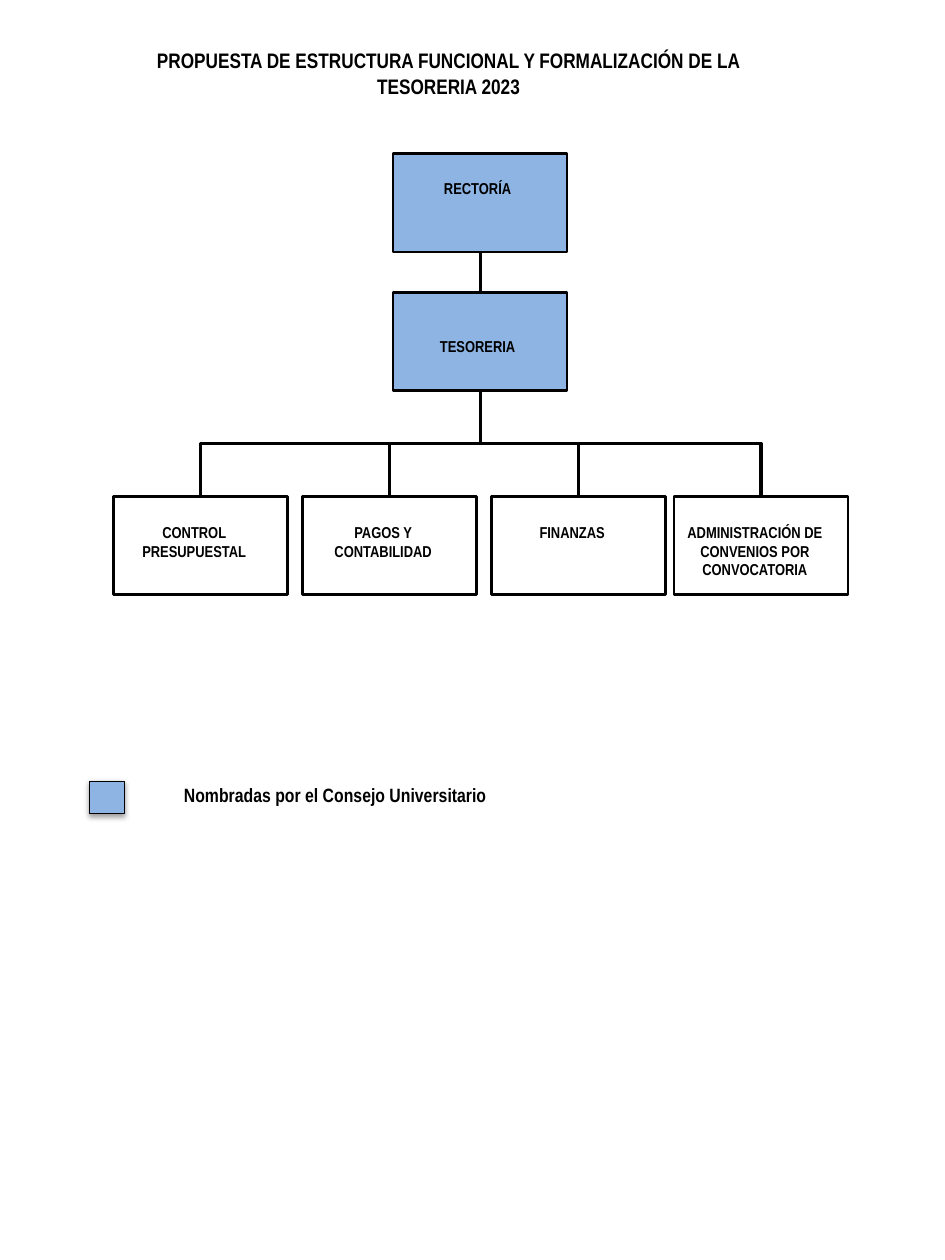
from dataclasses import dataclass

from lxml import etree
from pptx import Presentation
from pptx.dml.color import RGBColor
from pptx.enum.shapes import MSO_CONNECTOR as Connector, MSO_SHAPE as Shape
from pptx.enum.text import MSO_ANCHOR as Anchor, MSO_AUTO_SIZE as AutoSize, PP_ALIGN as Align
from pptx.oxml import parse_xml
from pptx.oxml.ns import nsdecls, qn
from pptx.util import Inches, Pt


@dataclass(frozen=True)
class Theme:
    """Colours, font, type sizes and line widths."""
    ink: RGBColor = RGBColor(0, 0, 0)
    appointed: RGBColor = RGBColor(0x8E, 0xB4, 0xE3)
    font: str = "Arial Narrow"
    title_size: float = 12
    legend_size: float = 11
    box_size: float = 9
    box_line: float = 1.5
    swatch_line: float = 0.75
    link_line: float = 1.75


THEME = Theme()
BOX_WIDTH, BOX_HEIGHT = 1.38, 0.78
LINE_HEIGHT = 0.155
HEAD_LEFT = 3.12
HEADS = [("RECTORÍA", 1.22, 1), ("TESORERIA", 2.32, 2)]
AREA_TOP = 3.94
AREAS = [
    ("CONTROL PRESUPUESTAL", 0.9),
    ("PAGOS Y\nCONTABILIDAD", 2.4),
    ("FINANZAS", 3.9),
    ("ADMINISTRACIÓN DE CONVENIOS POR CONVOCATORIA", 5.35),
]


def write_text(shape, text, size, align=Align.CENTER, insets=(0.1, 0.05, 0.1, 0.05)):
    """Fill a shape with bold text, one paragraph per line."""
    frame = shape.text_frame
    frame.word_wrap = True
    frame.auto_size = AutoSize.NONE
    frame.vertical_anchor = Anchor.TOP
    (frame.margin_left, frame.margin_top,
     frame.margin_right, frame.margin_bottom) = map(Inches, insets)
    frame.text = text
    for paragraph in frame.paragraphs:
        paragraph.alignment = align
        font = paragraph.runs[0].font
        font.name, font.size, font.bold = THEME.font, Pt(size), True
        font.color.rgb = THEME.ink


def add_box(slide, kind, box, fill=None, line=THEME.box_line):
    """Add an outlined box, filled when a colour is given."""
    shape = slide.shapes.add_shape(kind, *map(Inches, box))
    shape.shadow.inherit = False
    if fill is None:
        shape.fill.background()
    else:
        shape.fill.solid()
        shape.fill.fore_color.rgb = fill
    shape.line.color.rgb = THEME.ink
    shape.line.width = Pt(line)
    return shape


def add_link(slide, kind, start, end):
    """Add a connector without shadow."""
    link = slide.shapes.add_connector(kind, *map(Inches, (*start, *end)))
    link.line.color.rgb = THEME.ink
    link.line.width = Pt(THEME.link_line)
    etree.SubElement(link._element.spPr, qn("a:effectLst"))
    return link


def add_branch(slide, start, end):
    """Add an elbow that leaves downwards, by turning a sideways one."""
    (x1, y1), (x2, y2) = start, end
    middle_x, middle_y = (x1 + x2) / 2, (y1 + y2) / 2
    half_width, half_height = (y2 - y1) / 2, abs(x2 - x1) / 2
    side = 1 if x2 > x1 else -1
    link = add_link(slide, Connector.ELBOW,
                    (middle_x + side * half_width, middle_y - half_height),
                    (middle_x - side * half_width, middle_y + half_height))
    turn = 270 if side > 0 else 90
    link._element.spPr.find(qn("a:xfrm")).set("rot", str(turn * 60000))


def add_title(slide, box):
    """Place and format the title placeholder."""
    title = slide.shapes.title
    title.left, title.top, title.width, title.height = map(Inches, box)
    write_text(title, "PROPUESTA DE ESTRUCTURA FUNCIONAL Y FORMALIZACIÓN DE LA TESORERIA 2023",
               size=THEME.title_size)


def add_legend(slide, box):
    """Add the shadowed swatch and its meaning."""
    left, top, width, height = box
    swatch = add_box(slide, Shape.RECTANGLE, (left, top + 0.1, 0.28, 0.26),
                     fill=THEME.appointed, line=THEME.swatch_line)
    effects = swatch._element.spPr.find(qn("a:effectLst"))
    effects.append(parse_xml(
        f'<a:outerShdw {nsdecls("a")} blurRad="{Pt(3.1)}" dist="{Pt(1.6)}" dir="5400000" '
        f'rotWithShape="0"><a:srgbClr val="{THEME.ink}"><a:alpha val="38000"/></a:srgbClr>'
        '</a:outerShdw>'))
    label = slide.shapes.add_textbox(*map(Inches, (left + 0.75, top, width - 0.75, height)))
    write_text(label, "Nombradas por el Consejo Universitario", size=THEME.legend_size,
               align=Align.LEFT, insets=(0, 0.12, 0.25, 0.12))


def add_head(slide, box, text, lines_down):
    """Add an appointed office, its text set some lines down."""
    shape = add_box(slide, Shape.FLOWCHART_PROCESS, box, fill=THEME.appointed)
    write_text(shape, text, size=THEME.box_size,
               insets=(0.04, 0.04 + lines_down * LINE_HEIGHT, 0.08, 0.04))


def add_area(slide, box, text):
    """Add an area of the treasury, its text set one line down."""
    shape = add_box(slide, Shape.RECTANGLE, box)
    write_text(shape, text, size=THEME.box_size, insets=(0, 0.05 + LINE_HEIGHT, 0.1, 0.05))


def add_chart_of_offices(slide):
    """Add the offices and the links between them."""
    for text, top, lines_down in HEADS:
        add_head(slide, (HEAD_LEFT, top, BOX_WIDTH, BOX_HEIGHT), text, lines_down)
    trunk = HEAD_LEFT + BOX_WIDTH / 2
    rector_top, treasury_top = (top for _, top, _ in HEADS)
    add_link(slide, Connector.STRAIGHT, (trunk, rector_top + BOX_HEIGHT), (trunk, treasury_top))
    for text, left in AREAS:
        add_area(slide, (left, AREA_TOP, BOX_WIDTH, BOX_HEIGHT), text)
        add_branch(slide, (trunk, treasury_top + BOX_HEIGHT), (left + BOX_WIDTH / 2, AREA_TOP))


def main():
    """Build and save the slide."""
    presentation = Presentation()
    presentation.slide_width, presentation.slide_height = Inches(7.5), Inches(10)
    slide = presentation.slides.add_slide(presentation.slide_layouts.get_by_name("Title Only"))
    add_title(slide, (1.05, 0.33, 5.02, 0.5))
    add_legend(slide, (0.71, 6.1, 3.59, 0.44))
    add_chart_of_offices(slide)
    presentation.save("out.pptx")


if __name__ == "__main__":
    main()
